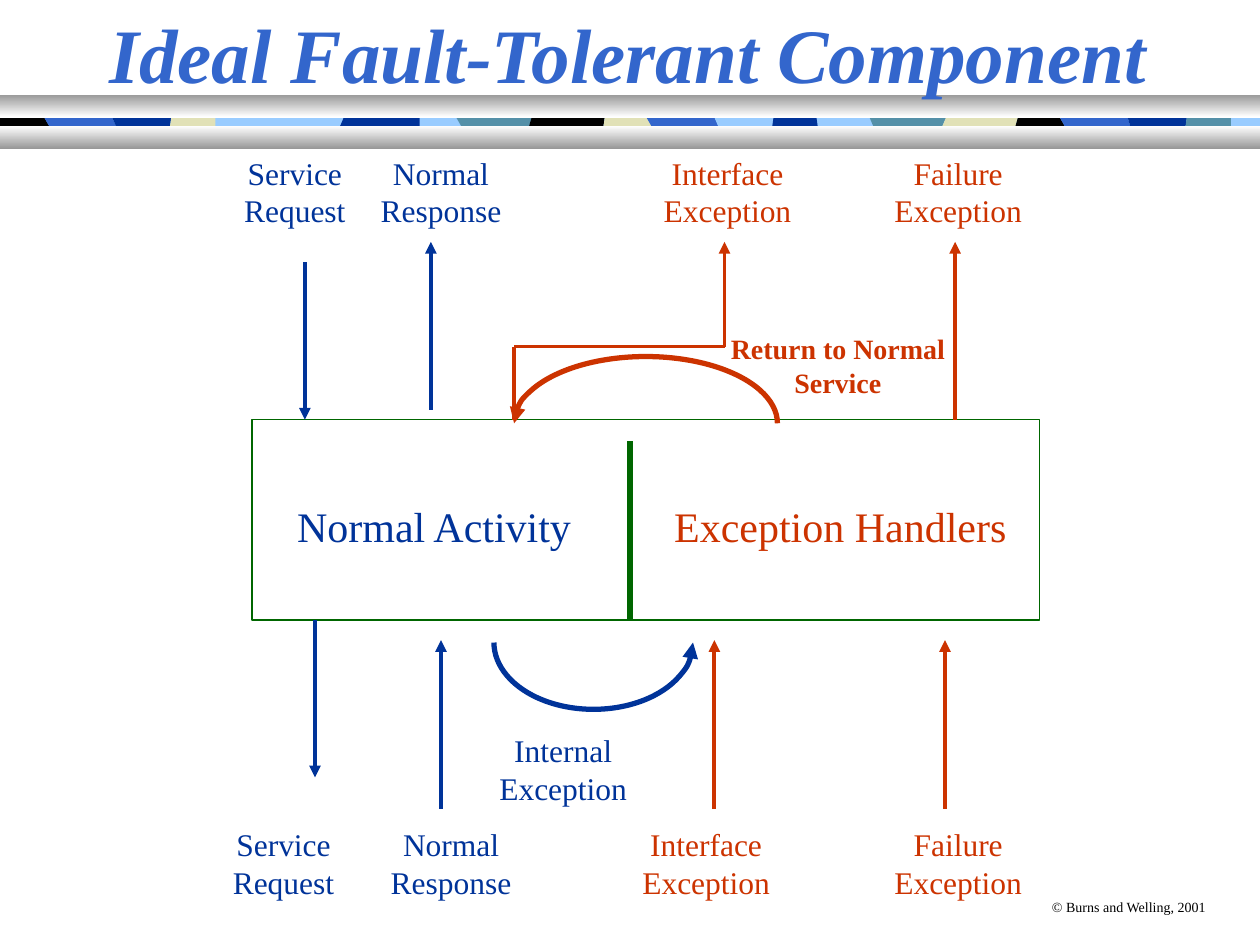
"""Build the Ideal Fault-Tolerant Component slide."""
from dataclasses import dataclass
from itertools import pairwise

from lxml import etree
from pptx import Presentation
from pptx import util as u
from pptx.dml.color import RGBColor
from pptx.enum import shapes, text
from pptx.oxml import ns


@dataclass(frozen=True)
class Theme:
    """Colours, font and type sizes of the slide."""
    font: str = "Times New Roman"
    blue: str = "3366CC"
    navy: str = "003399"
    red: str = "CC3300"
    green: str = "006600"
    sky: str = "99CCFF"
    teal: str = "5490A8"
    cream: str = "E1E1B7"
    black: str = "000000"
    white: str = "FFFFFF"
    grey: str = "989898"
    title: int = 44
    heading: int = 24
    label: int = 18
    note: int = 16
    footer: int = 8


T = Theme()


def rgb(color):
    """Turn a hex string into a colour."""
    return RGBColor.from_string(color)


def inches(*values):
    """Turn numbers into lengths."""
    return [u.Inches(v) for v in values]


def set_line(shape, color, width, arrow=None):
    """Style a line, with an arrow at headEnd or tailEnd if named."""
    shape.line.color.rgb = rgb(color)
    shape.line.width = u.Pt(width)
    if arrow:
        ln = shape.line._get_or_add_ln()
        etree.SubElement(ln, ns.qn(f"a:{arrow}"), type="triangle")


def add_line(s, start, end, color, width=2.25, arrow=None):
    """Draw a straight line between two points."""
    c = s.shapes.add_connector(
        shapes.MSO_CONNECTOR.STRAIGHT, *inches(*start, *end))
    set_line(c, color, width, arrow)
    etree.SubElement(c._element.spPr, ns.qn("a:effectLst"))


def add_arc(s, box, color, start, end):
    """Draw a half ellipse from start to end degrees, arrow at the start."""
    sp = s.shapes.add_shape(shapes.MSO_SHAPE.ARC, *inches(*box))
    sp.shadow.inherit = False
    sp.fill.background()
    sp.adjustments[0] = start * 0.6
    sp.adjustments[1] = end * 0.6
    set_line(sp, color, 3, "headEnd")


def add_text(s, lines, box, size, color, bold=False, italic=False,
             wrap=False, align=text.PP_ALIGN.CENTER):
    """Add a text box with one paragraph per line."""
    tf = s.shapes.add_textbox(*inches(*box)).text_frame
    tf.word_wrap = wrap
    tf.auto_size = text.MSO_AUTO_SIZE.SHAPE_TO_FIT_TEXT
    tf.vertical_anchor = text.MSO_ANCHOR.MIDDLE
    tf.text = "\n".join(lines)
    for p in tf.paragraphs:
        p.alignment = align
        p.font.name = T.font
        p.font.size = u.Pt(size)
        p.font.bold = bold
        p.font.italic = italic
        p.font.color.rgb = rgb(color)


def add_bar(s, top, upper, lower):
    """Draw a full-width bar shaded from upper to lower colour."""
    sp = s.shapes.add_shape(
        shapes.MSO_SHAPE.RECTANGLE, *inches(0, top, 10, 0.18))
    sp.shadow.inherit = False
    sp.line.fill.background()
    sp.fill.gradient()
    sp.fill.gradient_angle = 270
    for stop, color in zip(sp.fill.gradient_stops, (upper, lower)):
        stop.color.rgb = rgb(color)


def add_piece(s, left, right, color):
    """Draw a ribbon piece; each side has an upper and a lower x."""
    heights = (0.85, 0.93, 1, 1.13)
    rights = zip((right[0], right[0], right[1], right[1]), heights)
    lefts = zip((left[0], left[0], left[1], left[1]), heights)
    first, *points = [*rights, *reversed(list(lefts))]
    fb = s.shapes.build_freeform(*inches(*first))
    fb.add_line_segments([inches(*point) for point in points])
    sp = fb.convert_to_shape()
    sp.shadow.inherit = False
    sp.fill.solid()
    sp.fill.fore_color.rgb = rgb(color)
    sp.line.fill.background()


def add_ribbon(s):
    """Draw the slanted colour pieces between two shaded bars."""
    edges = [(0, 0), (0.35, 0.39), (0.89, 0.92), (1.36, 1.35), (1.71, 1.71),
             (2.01, 2.01), (2.73, 2.7), (3.33, 3.33), (3.62, 3.66),
             (4.22, 4.2), (4.8, 4.79), (5.13, 5.17), (5.67, 5.7),
             (6.14, 6.13), (6.48, 6.49), (6.9, 6.93), (7.51, 7.48),
             (8.08, 8.06), (8.41, 8.45), (8.95, 8.97), (9.42, 9.41),
             (9.77, 9.77)]
    colors = [T.black, T.blue, T.navy, T.cream, None, T.sky, T.navy, None,
              T.teal, T.black, T.cream, T.blue, T.sky, T.navy, None, T.teal,
              T.cream, T.black, T.blue, T.navy, T.teal]
    add_piece(s, (0.03, 0.03), (10, 10), T.sky)
    for (left, right), color in zip(pairwise(edges), colors):
        if color:
            add_piece(s, left, right, color)
    add_bar(s, 0.75, T.grey, T.white)
    add_bar(s, 1, T.white, T.grey)


def add_component(s):
    """Draw the component box with its two halves."""
    sp = s.shapes.add_shape(
        shapes.MSO_SHAPE.RECTANGLE, *inches(2, 3.33, 6.25, 1.59))
    sp.shadow.inherit = False
    sp.fill.background()
    set_line(sp, T.green, 0.75)
    add_line(s, (5, 3.5), (5, 4.92), T.green, 3)
    add_text(s, ["Normal Activity"], (2.25, 3.92, 2.39, 0.5),
             T.heading, T.navy)
    add_text(s, ["Exception Handlers"], (5.25, 3.92, 2.84, 0.5),
             T.heading, T.red)


def add_flows(s):
    """Draw the labelled arrows above and below, and the arcs."""
    arrows = [(2.42, 2.08, 3.33, T.navy), (2.5, 4.92, 6.17, T.navy),
              (3.42, 3.25, 1.92, T.navy), (3.5, 6.42, 5.08, T.navy),
              (5.75, 2.75, 1.92, T.red), (5.67, 6.42, 5.08, T.red),
              (7.58, 3.33, 1.92, T.red), (7.5, 6.42, 5.08, T.red)]
    for x, start, end, color in arrows:
        add_line(s, (x, start), (x, end), color, arrow="tailEnd")
    add_line(s, (4.08, 3.33), (4.08, 2.75), T.red)
    add_line(s, (4.08, 2.75), (5.75, 2.75), T.red)

    labels = [("Service", "Request", 1.83, 1.74, 1.02, T.navy),
              ("Normal", "Response", 2.91, 2.99, 1.18, T.navy),
              ("Interface", "Exception", 5.16, 4.99, 1.23, T.red),
              ("Failure", "Exception", 6.99, 6.99, 1.23, T.red)]
    for first, second, upper_x, lower_x, width, color in labels:
        for x, y in ((upper_x, 1.17), (lower_x, 6.5)):
            add_text(s, [first, second], (x, y, width, 0.7), T.label, color)

    add_arc(s, (4.08, 2.83, 2.09, 1.06), T.red, 180, 0)
    add_arc(s, (3.92, 4.57, 1.58, 1.06), T.navy, 0, 180)
    add_text(s, ["Return to Normal Service"], (5.67, 2.58, 1.96, 0.64),
             T.note, T.red, bold=True, wrap=True)
    add_text(s, ["Internal Exception"], (3.75, 5.75, 1.44, 0.7),
             T.label, T.navy, wrap=True)


def main():
    """Build and save the slide."""
    prs = Presentation()
    prs.slide_width, prs.slide_height = inches(10, 7.5)
    s = prs.slides.add_slide(prs.slide_layouts[6])
    add_ribbon(s)
    add_text(s, ["© Burns and Welling, 2001"], (8.25, 7.08, 1.43, 0.24),
             T.footer, T.black, align=text.PP_ALIGN.LEFT)
    add_text(s, ["Ideal Fault-Tolerant Component"], (0, 0, 9.97, 0.83),
             T.title, T.blue, bold=True, italic=True, wrap=True)
    add_component(s)
    add_flows(s)
    prs.save("out.pptx")


if __name__ == "__main__":
    main()
